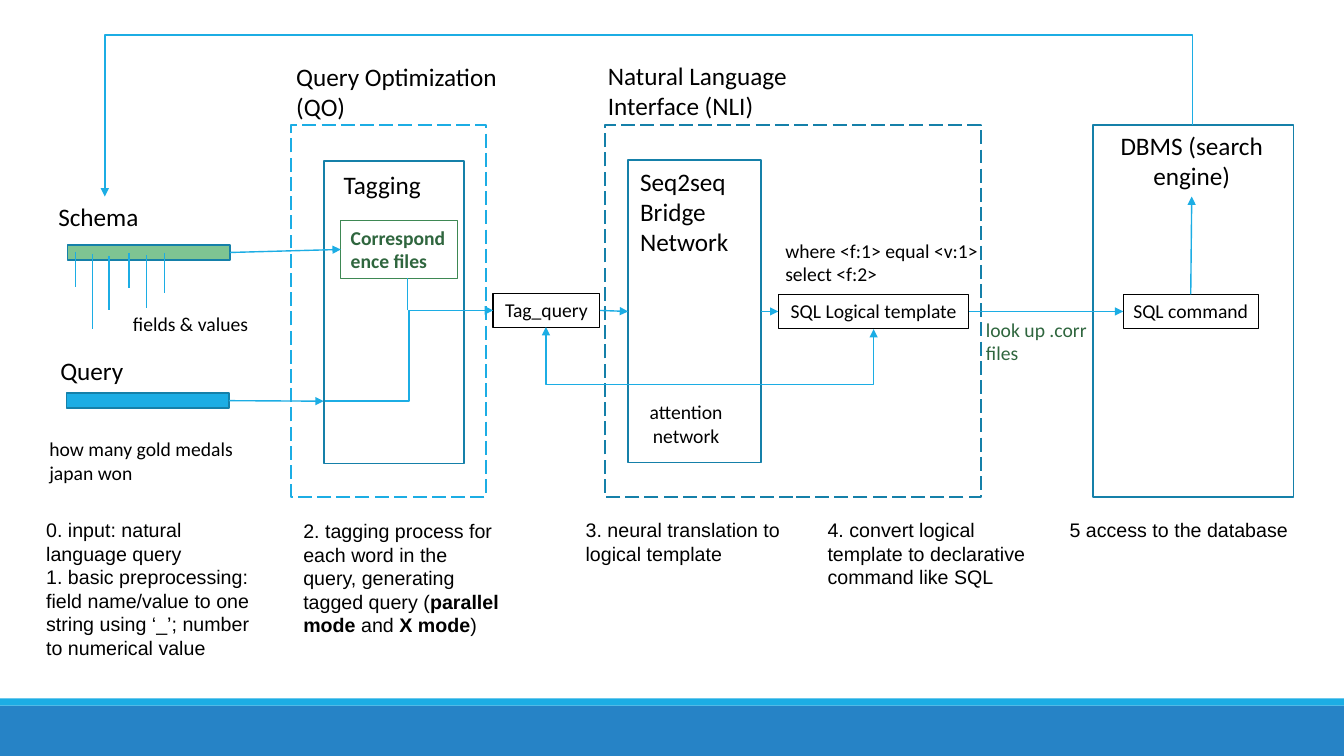
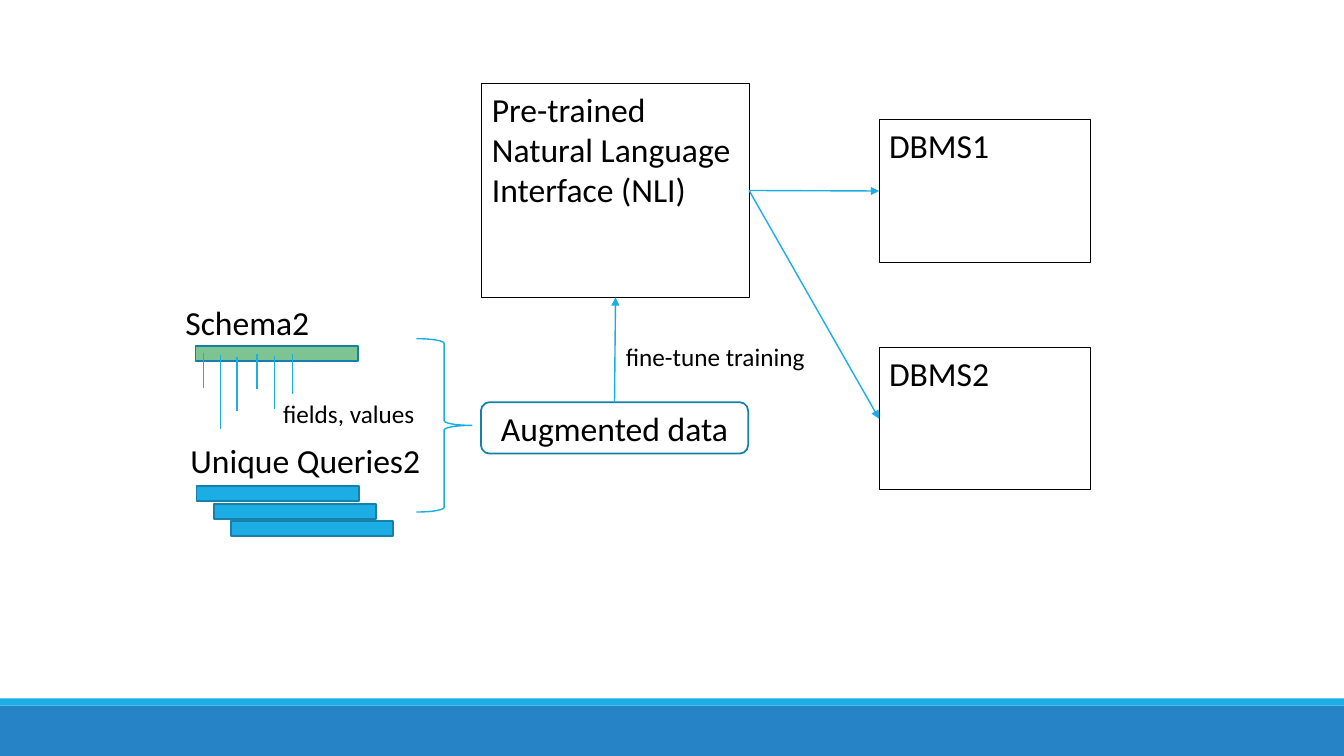
from lxml import etree
from pptx import Presentation
from pptx.dml.color import RGBColor
from pptx.enum.dml import MSO_LINE
from pptx.enum.shapes import MSO_CONNECTOR, MSO_SHAPE
from pptx.enum.text import MSO_ANCHOR, PP_ALIGN
from pptx.oxml.ns import qn
from pptx.util import Pt

PX = 9144  # 100 px to the inch
RECT, ROUND, BRACE = MSO_SHAPE.RECTANGLE, MSO_SHAPE.ROUNDED_RECTANGLE, MSO_SHAPE.RIGHT_BRACE
STRAIGHT, ELBOW = MSO_CONNECTOR.STRAIGHT, MSO_CONNECTOR.ELBOW
LEFT, CENTER = PP_ALIGN.LEFT, PP_ALIGN.CENTER
TOP, MIDDLE = MSO_ANCHOR.TOP, MSO_ANCHOR.MIDDLE
LONG_DASH = MSO_LINE.LONG_DASH
AT_TOP, AT_LEFT, AT_BOTTOM, AT_RIGHT = range(4)
COLORS = {
    "black": "000000", "white": "FFFFFF", "band": "2683C6", "sky": "1CADE4",
    "edge": "1580A9", "leaf": "7EC492", "green": "3E8853", "forest": "2F663E",
}


def box(s, x, y, w, h, text="", *, shape=None, fill=None, line=None, width=1.25,
        dash=None, size=14, font="Calibri", color="black", bold=False,
        align=LEFT, anchor=TOP, wrap=True):
    """Add a shape, or a text box if none is given; *stars* switch to bold."""
    at = [v * PX for v in (x, y, w, h)]
    if shape is None:
        sp = s.shapes.add_textbox(*at)
    else:
        sp = s.shapes.add_shape(shape, *at)
        sp.shadow.inherit = False
        if fill:
            sp.fill.solid()
            sp.fill.fore_color.rgb = RGBColor.from_string(COLORS[fill])
        else:
            sp.fill.background()
        if line:
            sp.line.color.rgb = RGBColor.from_string(COLORS[line])
            sp.line.width = Pt(width)
            if dash:
                sp.line.dash_style = dash
        else:
            sp.line.fill.background()
    if text:
        tf = sp.text_frame
        tf.word_wrap = wrap
        tf.vertical_anchor = anchor
        for i, row in enumerate(text.split("\n")):
            p = tf.add_paragraph() if i else tf.paragraphs[0]
            p.alignment = align
            for j, part in enumerate(row.split("*")):
                r = p.add_run()
                r.text = part
                r.font.name, r.font.size = font, Pt(size)
                r.font.bold = bold or j % 2 == 1
                r.font.color.rgb = RGBColor.from_string(COLORS[color])
    return sp


def link(s, x1, y1, x2, y2, *, kind=STRAIGHT, head=False, tail=True,
         begin=None, end=None, rot=0, adj=None):
    """Add a connector; begin and end are (shape, side) pairs to join."""
    c = s.shapes.add_connector(kind, *[v * PX for v in (x1, y1, x2, y2)])
    if begin:
        c.begin_connect(*begin)
    if end:
        c.end_connect(*end)
    c.line.color.rgb = RGBColor.from_string(COLORS["sky"])
    c.line.width = Pt(1)
    pr = c._element.spPr
    ln = pr.find(qn("a:ln"))
    for tag, on in (("a:headEnd", head), ("a:tailEnd", tail)):
        if on:
            etree.SubElement(ln, qn(tag), type="triangle")
    etree.SubElement(pr, qn("a:effectLst"))
    if rot:
        pr.find(qn("a:xfrm")).set("rot", str(rot * 60000))
    if adj is not None:
        guides = pr.find(qn("a:prstGeom")).find(qn("a:avLst"))
        etree.SubElement(guides, qn("a:gd"), name="adj1", fmla=f"val {round(adj * 100000)}")


prs = Presentation()
prs.slide_width, prs.slide_height = 1333 * PX, 750 * PX
s1, s2 = [prs.slides.add_slide(prs.slide_layouts[6]) for _ in range(2)]

# Shared bottom bands
for s in (s1, s2):
    box(s, 0, 700, 1333, 50, shape=RECT, fill="band")
    box(s, 0, 693, 1333, 7, shape=RECT, fill="sky")

# Slide 1: stage frames
box(s1, 289, 124, 193, 369, shape=RECT, fill="white", line="sky", dash=LONG_DASH)
box(s1, 600, 124, 373, 369, shape=RECT, line="edge", dash=LONG_DASH)
box(s1, 1084, 124, 199, 369, shape=RECT, line="edge")
seq2seq = box(s1, 623, 159, 132, 300, shape=RECT, line="edge")
box(s1, 321, 160, 139, 300, shape=RECT, line="edge")

# Slide 1: headings
for x, y, w, h, text, align in (
    (284, 56, 230, 71, "Query Optimization (QO)", LEFT),
    (593, 55, 230, 71, "Natural Language Interface (NLI)", LEFT),
    (1067, 124, 230, 71, "DBMS (search engine)", CENTER),
    (331, 163, 99, 40, "Tagging", LEFT),
    (625, 160, 113, 101, "Seq2seq Bridge Network", LEFT),
    (48, 195, 113, 40, "Schema", LEFT),
    (50, 348, 113, 40, "Query", LEFT),
):
    box(s1, x, y, w, h, text, size=18, align=align)

# Slide 1: bars and boxes along the flow
query = box(s1, 66, 390, 161, 15, shape=RECT, fill="sky", line="edge")
schema = box(s1, 67, 243, 161, 15, shape=RECT, fill="leaf", line="edge")
files = box(s1, 338, 219, 116, 57, "Correspondence files", shape=RECT, line="green",
            width=0.75, color="forest", bold=True)
tag_query, template, command = [
    box(s1, x, y, w, 34, text, shape=RECT, line="black", width=0.75, align=CENTER)
    for x, y, w, text in ((489, 291, 106, "Tag_query"),
                          (772, 292, 189, "SQL Logical template"),
                          (1114, 292, 134, "SQL command"))
]

# Slide 1: small labels
box(s1, 769, 232, 212, 57, "where <f:1> equal <v:1> select <f:2>")
box(s1, 122, 305, 142, 34, "fields & values")
box(s1, 968, 310, 141, 57, "look up .corr files", color="forest")
box(s1, 624, 392, 113, 57, "attention network", align=CENTER)
box(s1, 39, 429, 212, 57, "how many gold medals japan won")

# Slide 1: connectors
link(s1, 595, 308, 623, 309, begin=(tag_query, AT_RIGHT), end=(seq2seq, AT_LEFT))
link(s1, 755, 309, 772, 309, begin=(seq2seq, AT_RIGHT), end=(template, AT_LEFT))
link(s1, 961, 309, 1114, 309, begin=(template, AT_RIGHT), end=(command, AT_LEFT))
link(s1, 228, 249, 338, 249, begin=(schema, AT_RIGHT), end=(files, AT_LEFT))
link(s1, 227, 398, 321, 398, begin=(query, AT_RIGHT))
link(s1, 1182, 292, 1182, 195, begin=(command, AT_TOP))
link(s1, 404, 308, 404, 276, tail=False)
link(s1, 322, 398, 489, 308, kind=ELBOW)
link(s1, 679, 699, 608, -380, kind=ELBOW, rot=270, adj=-1.26)
link(s1, 705, 163, 703, 488, kind=ELBOW, rot=90, adj=-27.5, head=True)

# Slide 1: step notes
for x, y, w, h, text, wrap in (
    (36, 509, 237, 151, "0. input: natural language query\n1. basic preprocessing: field "
     "name/value to one string using ‘_’; number to numerical value", True),
    (291, 510, 217, 128, "2. tagging process for each word in the query, generating "
     "tagged query (*parallel mode *and *X mode*)", True),
    (571, 509, 228, 57, "3. neural translation to logical template", True),
    (811, 509, 243, 81, "4. convert logical template to declarative command like SQL", True),
    (1051, 509, 241, 34, "5 access to the database", False),
):
    box(s1, x, y, w, h, text, font="Arial", wrap=wrap)

# Slide 2: interface, databases and training data
nli = box(s2, 478, 83, 265, 212, "Pre-trained Natural Language Interface (NLI)",
          shape=RECT, line="black", width=0.75, size=24)
augmented = box(s2, 477, 399, 265, 51, "Augmented data", shape=ROUND, line="edge",
                size=24, align=CENTER, anchor=MIDDLE)
for i, y in enumerate((119, 345), 1):
    dbms = box(s2, 872, y, 210, 141, f"DBMS{i}", shape=RECT, line="black",
               width=0.75, size=24)
    link(s2, 743, 189, 872, y + 70, begin=(nli, AT_RIGHT), end=(dbms, AT_LEFT))
link(s2, 609, 399, 611, 295, begin=(augmented, AT_TOP), end=(nli, AT_BOTTOM))
box(s2, 611, 334, 200, 40, "fine-tune training", size=18, wrap=False)

# Slide 2: schema and queries
box(s2, 194, 343, 161, 15, shape=RECT, fill="leaf", line="edge")
box(s2, 174, 295, 143, 50, "Schema2", size=24)
box(s2, 271, 390, 154, 40, "fields, values", size=18)
box(s2, 179, 432, 262, 50, "Unique Queries2", size=24)
for i in range(3):
    box(s2, 195 + 17 * i, 482 + 17 * i + (i > 0), 161, 15, shape=RECT,
        fill="sky", line="edge")
box(s2, 413, 336, 55, 172, shape=BRACE, line="sky", width=1)

# Field strokes hanging from both schema bars
for s, x, y in ((s1, 75, 250), (s2, 202, 350)):
    for dx, top, bottom in ((0, 0, 35), (17, 2, 76), (33, 4, 58),
                            (53, 1, 36), (70, 3, 56), (88, 1, 41)):
        link(s, x + dx, y + top, x + dx, y + bottom, tail=False)

prs.save("out.pptx")
